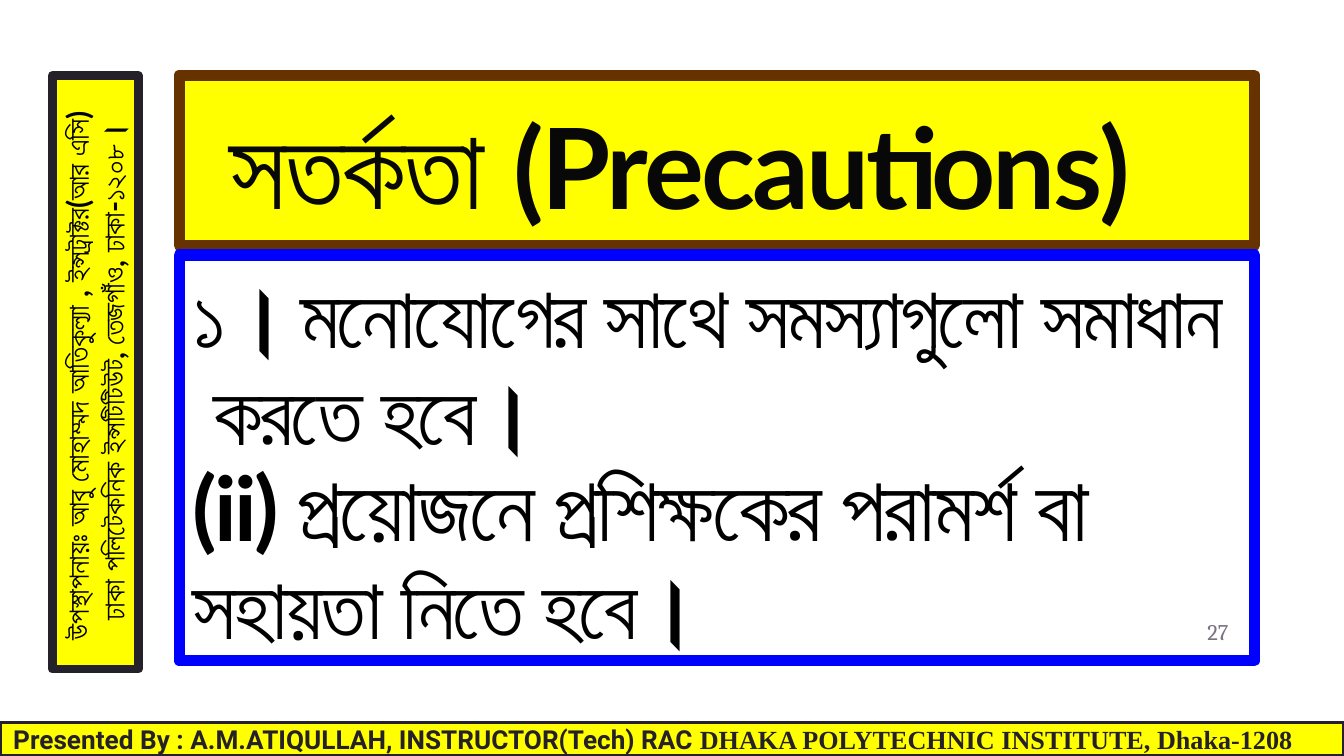
from pptx import Presentation
from pptx.dml.color import RGBColor as Rgb
from pptx.enum.shapes import MSO_SHAPE as Form
from pptx.enum.text import MSO_ANCHOR as Anchor, MSO_AUTO_SIZE as Fit, PP_ALIGN as Align
from pptx.oxml.ns import qn
from pptx.util import Pt
from lxml.etree import SubElement as Sub

THEME = {
    "wide": 720, "high": 405,
    "gold": "FFFF00", "brown": "663300", "blue": "0000FF", "dark": "25212A",
    "black": "000000", "ink": "080808", "gray": "797281",
    "head": 60, "body": 46, "item": 47.9, "side": 16, "foot": 14, "page": 12,
    "tight": -1.5,
}

HEAD = [[
    (" ", "Arial", "head", "black"),
    ("সতর্কতা (Precautions)", "Lato", "head", "ink"),
]]
BODY = [[(line, "Lato", size, "black")] for line, size in [
    ("১। মনোযোগের সাথে সমস্যাগুলো সমাধান", "body"),
    (" করতে হবে।", "body"),
    ("(ii) প্রয়োজনে প্রশিক্ষকের পরামর্শ বা", "item"),
    ("সহায়তা নিতে হবে।", "body"),
]]
SIDE = [[(line, "Lato", "side", "black")] for line in [
    "উপস্থাপনায়ঃ আবু মোহাম্মদ আতিকুল্যা , ইন্সট্রাক্টর(আর এসি) ",
    "ঢাকা পলিটেকনিক ইন্সটিটিউট, তেজগাঁও, ঢাকা-১২০৮।",
]]
FOOT = [[
    ("Presented By : A.M.ATIQULLAH, INSTRUCTOR(Tech) RAC ", "Roboto", "foot", "dark"),
    ("DHAKA POLYTECHNIC INSTITUTE, Dhaka-1208", "Times New Roman", "foot", "dark"),
]]
PAGE = [[("27", "Cambria", "page", "gray")]]


def apply(obj, vals):
    for key, val in vals.items():
        setattr(obj, key, val)


def place(shape, box):
    apply(shape, dict(zip(("left", "top", "width", "height"), map(Pt, box))))


def paint(shape, fill, edge, thick):
    if fill:
        shape.fill.solid()
        shape.fill.fore_color.rgb = Rgb.from_string(THEME[fill])
    else:
        shape.fill.background()
    shape.line.color.rgb = Rgb.from_string(THEME[edge])
    shape.line.width = Pt(thick)
    Sub(shape.line._get_or_add_ln(), qn("a:round"))


def write(shape, lines, frame, para, bold=True, tight=False):
    text = shape.text_frame
    apply(text, {"word_wrap": True, "auto_size": Fit.NONE, **frame})
    for num, line in enumerate(lines):
        par = text.add_paragraph() if num else text.paragraphs[0]
        apply(par, {"space_before": Pt(0), "space_after": Pt(0), **para})
        for words, face, size, ink in line:
            run = par.add_run()
            run.text = words
            apply(run.font, {"name": face, "size": Pt(THEME[size]), "bold": bold})
            run.font.color.rgb = Rgb.from_string(THEME[ink])
            if tight:
                run.font._element.set("spc", str(int(THEME["tight"] * 100)))


def pad(size):
    return {"margin_" + edge: Pt(size) for edge in ("left", "right", "top", "bottom")}


deck = Presentation()
apply(deck, {"slide_width": Pt(THEME["wide"]), "slide_height": Pt(THEME["high"])})
slide = deck.slides.add_slide(deck.slide_layouts[0])
title, body = slide.placeholders

place(title, (96, 40.3, 576, 91.2))
paint(title, "gold", "brown", 6)
write(title, HEAD, {**pad(7.2), "vertical_anchor": Anchor.BOTTOM},
      {"alignment": Align.LEFT, "line_spacing": 1.0}, tight=True)
props = title.text_frame.paragraphs[0]._p.get_or_add_pPr()
for key, val in {"marL": 36, "indent": -33}.items():
    props.set(key, str(Pt(val)))

place(body, (96, 136.6, 576, 217.4))
paint(body, None, "blue", 6)
write(body, BODY, {**pad(7.2), "vertical_anchor": Anchor.TOP},
      {"alignment": Align.LEFT, "line_spacing": Pt(52)}, tight=True)

page = slide.shapes.add_textbox(*map(Pt, (622, 322.6, 43.2, 31)))
write(page, PAGE, {**pad(7.2), "vertical_anchor": Anchor.MIDDLE},
      {"alignment": Align.RIGHT}, bold=False)

bars = [
    ((-108, 176.4, 318.2, 46.1), 270, 4.5, SIDE, Align.CENTER,
     {"vertical_anchor": Anchor.TOP, "auto_size": Fit.SHAPE_TO_FIT_TEXT}),
    ((0, 387, THEME["wide"], 18), 0, 2, FOOT, Align.LEFT,
     {"vertical_anchor": Anchor.MIDDLE}),
]
for box, turn, thick, lines, align, frame in bars:
    bar = slide.shapes.add_shape(Form.RECTANGLE, *map(Pt, box))
    bar.rotation = turn
    bar.shadow.inherit = False
    paint(bar, "gold", "dark", thick)
    write(bar, lines, frame, {"alignment": align})

deck.save("out.pptx")
